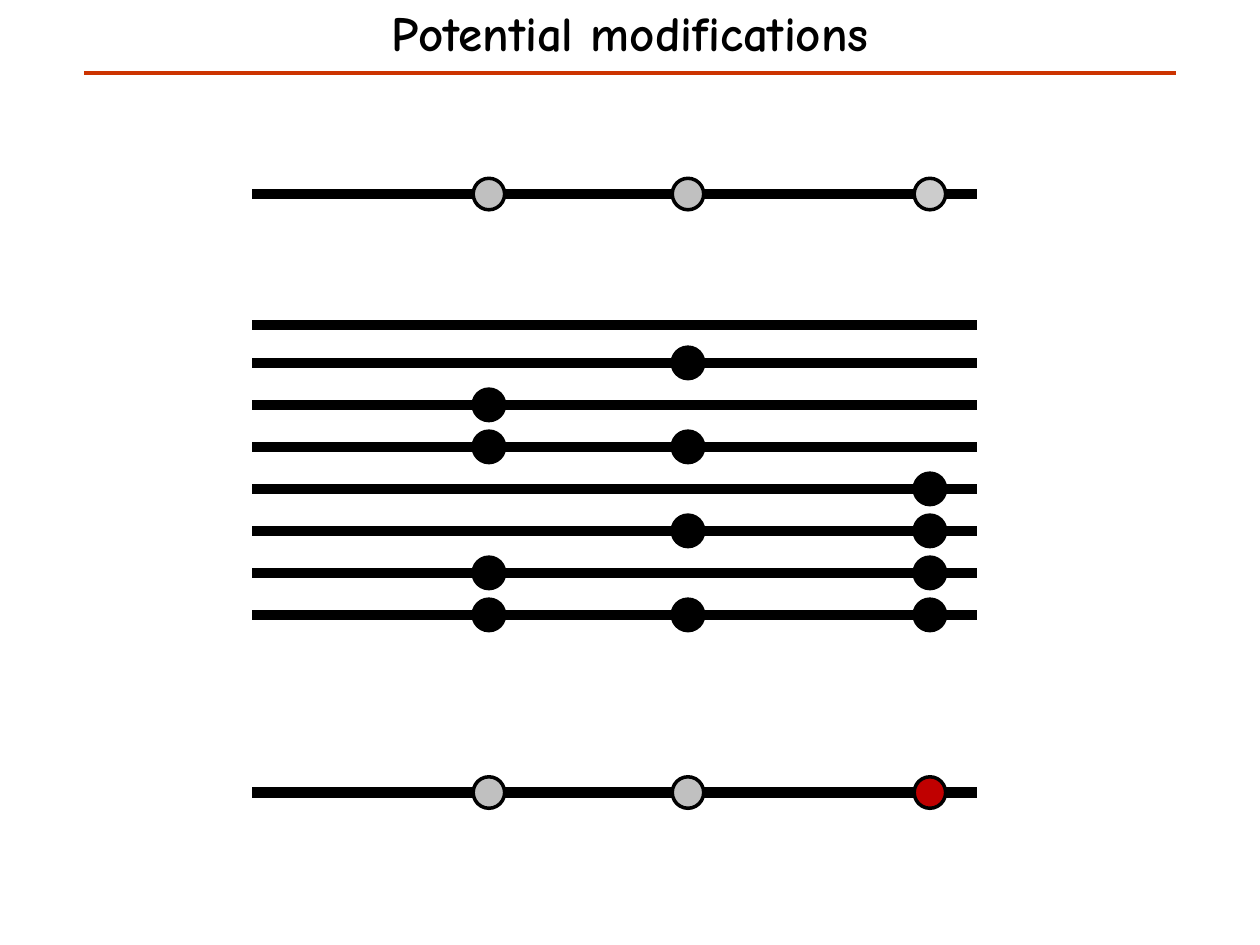
from itertools import product

from pptx import Presentation
from pptx.dml.color import RGBColor
from pptx.enum.shapes import MSO_CONNECTOR, MSO_SHAPE
from pptx.enum.text import MSO_ANCHOR, PP_ALIGN
from pptx.oxml.ns import qn
from pptx.util import Inches, Pt

LINE = MSO_CONNECTOR.STRAIGHT
OVAL = MSO_SHAPE.OVAL
MIDDLE = MSO_ANCHOR.MIDDLE
CENTER = PP_ALIGN.CENTER

BLACK = RGBColor(0, 0, 0)
GRAY = RGBColor(0xC0, 0xC0, 0xC0)
PALE = RGBColor(0xCC, 0xCC, 0xCC)
RED = RGBColor(0xC0, 0, 0)
RUST = RGBColor(0xCC, 0x33, 0)

FONT = "Comic Neue"
SITES = (3.88, 5.46, 7.38)
DOT = 0.25
FIRST = 2.88
STEP = 1 / 3


def add_title(slide, text):
    box = slide.shapes.add_textbox(Inches(0.5), Inches(0), Inches(9), Inches(0.5))
    frame = box.text_frame
    frame.word_wrap = True
    frame.vertical_anchor = MIDDLE
    para = frame.paragraphs[0]
    para.alignment = CENTER
    run = para.add_run()
    run.text = text
    run.font.name = FONT
    run.font.size = Pt(28)
    run.font.bold = True
    run.font.color.rgb = BLACK


def add_line(slide, left, right, y, color, width):
    line = slide.shapes.add_connector(
        LINE, Inches(left), Inches(y), Inches(right), Inches(y))
    line.line.color.rgb = color
    line.line.width = Pt(width)
    props = line._element.spPr
    props.append(props.makeelement(qn("a:effectLst"), {}))


def add_dot(slide, x, y, color):
    dot = slide.shapes.add_shape(
        OVAL, Inches(x - DOT / 2), Inches(y - DOT / 2), Inches(DOT), Inches(DOT))
    dot.shadow.inherit = False
    dot.fill.solid()
    dot.fill.fore_color.rgb = color
    dot.line.color.rgb = BLACK
    dot.line.width = Pt(2)


def add_strand(slide, y, colors):
    add_line(slide, 2, 7.75, y, BLACK, 6)
    for x, color in zip(SITES, colors):
        if color is not None:
            add_dot(slide, x, y, color)


def add_forms(slide):
    forms = product((None, BLACK), repeat=len(SITES))
    for row, (right, left, mid) in enumerate(forms):
        y = FIRST + (row - 1) * STEP if row else 2.58
        add_strand(slide, y, (left, mid, right))


def main():
    deck = Presentation()
    deck.slide_width = Inches(10)
    deck.slide_height = Inches(7.5)
    slide = deck.slides.add_slide(deck.slide_layouts[6])
    add_title(slide, "Potential modifications")
    add_line(slide, 0.67, 9.33, 0.58, RUST, 2.5)
    add_strand(slide, 1.54, (GRAY, GRAY, PALE))
    add_forms(slide)
    add_strand(slide, 6.29, (GRAY, GRAY, RED))
    deck.save("out.pptx")


if __name__ == "__main__":
    main()
